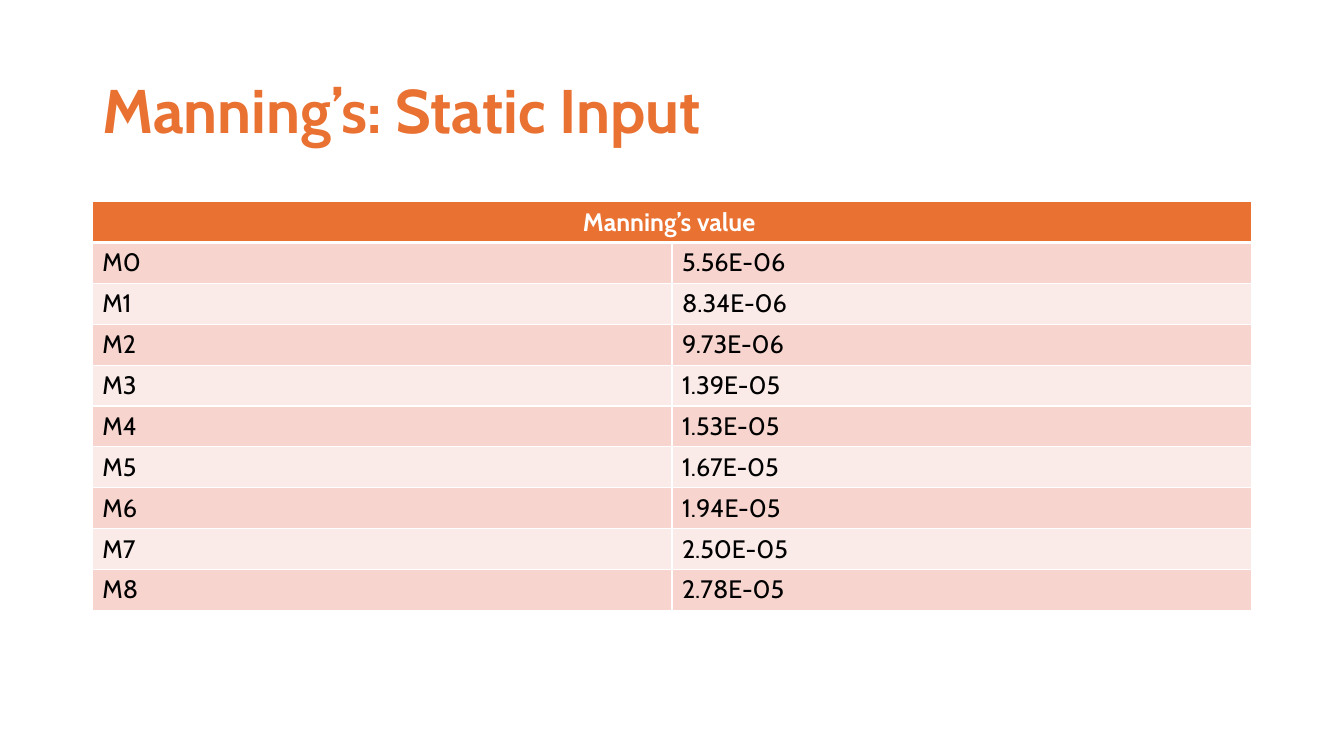
"""Build the slide with the table of static Manning's values."""
from lxml import etree
from pptx import Presentation
from pptx.dml.color import RGBColor
from pptx.enum.text import MSO_ANCHOR, PP_ALIGN
from pptx.oxml.ns import qn
from pptx.util import Pt

TITLE = "Manning’s: Static Input"
HEAD = "Manning’s value "
VALUES = [
    ("M0", "5.56E-06"),
    ("M1", "8.34E-06"),
    ("M2", "9.73E-06"),
    ("M3", "1.39E-05"),
    ("M4", "1.53E-05"),
    ("M5", "1.67E-05"),
    ("M6", "1.94E-05"),
    ("M7", "2.50E-05"),
    ("M8", "2.78E-05"),
]

FONT = "Cabin"
ORANGE = RGBColor(0xE9, 0x71, 0x32)
ROSE = RGBColor(0xF7, 0xD5, 0xCE)
BLUSH = RGBColor(0xFB, 0xEB, 0xE8)
WHITE = RGBColor(0xFF, 0xFF, 0xFF)
BLACK = RGBColor(0, 0, 0)
LEFT, CENTER = PP_ALIGN.LEFT, PP_ALIGN.CENTER
MIDDLE = MSO_ANCHOR.MIDDLE

EDGE, WIDE = 66, 828
TOP, ROW = 144, 29.2


def write(frame, text, size=18, color=BLACK, bold=False, align=LEFT, space=1.0):
    para = frame.paragraphs[0]
    para.alignment = align
    para.line_spacing = space
    run = para.add_run()
    run.text = text
    font = run.font
    font.name, font.size, font.bold = FONT, Pt(size), bold
    font.color.rgb = color


def paint(cell, color, above=1, below=1):
    props = cell._tc.get_or_add_tcPr()
    for side, width in (("L", 1), ("R", 1), ("T", above), ("B", below)):
        line = etree.SubElement(props, qn(f"a:ln{side}"), w=str(Pt(width)))
        fill = etree.SubElement(line, qn("a:solidFill"))
        etree.SubElement(fill, qn("a:srgbClr"), val=str(WHITE))
    cell.fill.solid()
    cell.fill.fore_color.rgb = color


def main():
    deck = Presentation()
    deck.slide_width, deck.slide_height = Pt(960), Pt(540)
    slide = deck.slides.add_slide(deck.slide_layouts[6])

    box = slide.shapes.add_textbox(Pt(EDGE), Pt(28.8), Pt(WIDE), Pt(104.4))
    frame = box.text_frame
    frame.word_wrap = True
    frame.vertical_anchor = MIDDLE
    write(frame, TITLE, size=44, color=ORANGE, bold=True, space=0.9)

    count = len(VALUES) + 1
    table = slide.shapes.add_table(
        count, 2, Pt(EDGE), Pt(TOP), Pt(WIDE), Pt(ROW * count)).table
    for row in table.rows:
        row.height = Pt(ROW)

    head = table.cell(0, 0)
    head.merge(table.cell(0, 1))
    for cell in table.rows[0].cells:
        paint(cell, ORANGE, below=3)
    write(head.text_frame, HEAD, color=WHITE, bold=True, align=CENTER)

    for i, pair in enumerate(VALUES, 1):
        for j, text in enumerate(pair):
            cell = table.cell(i, j)
            paint(cell, ROSE if i % 2 else BLUSH, above=3 if i == 1 else 1)
            write(cell.text_frame, text)

    deck.save("out.pptx")


if __name__ == "__main__":
    main()
